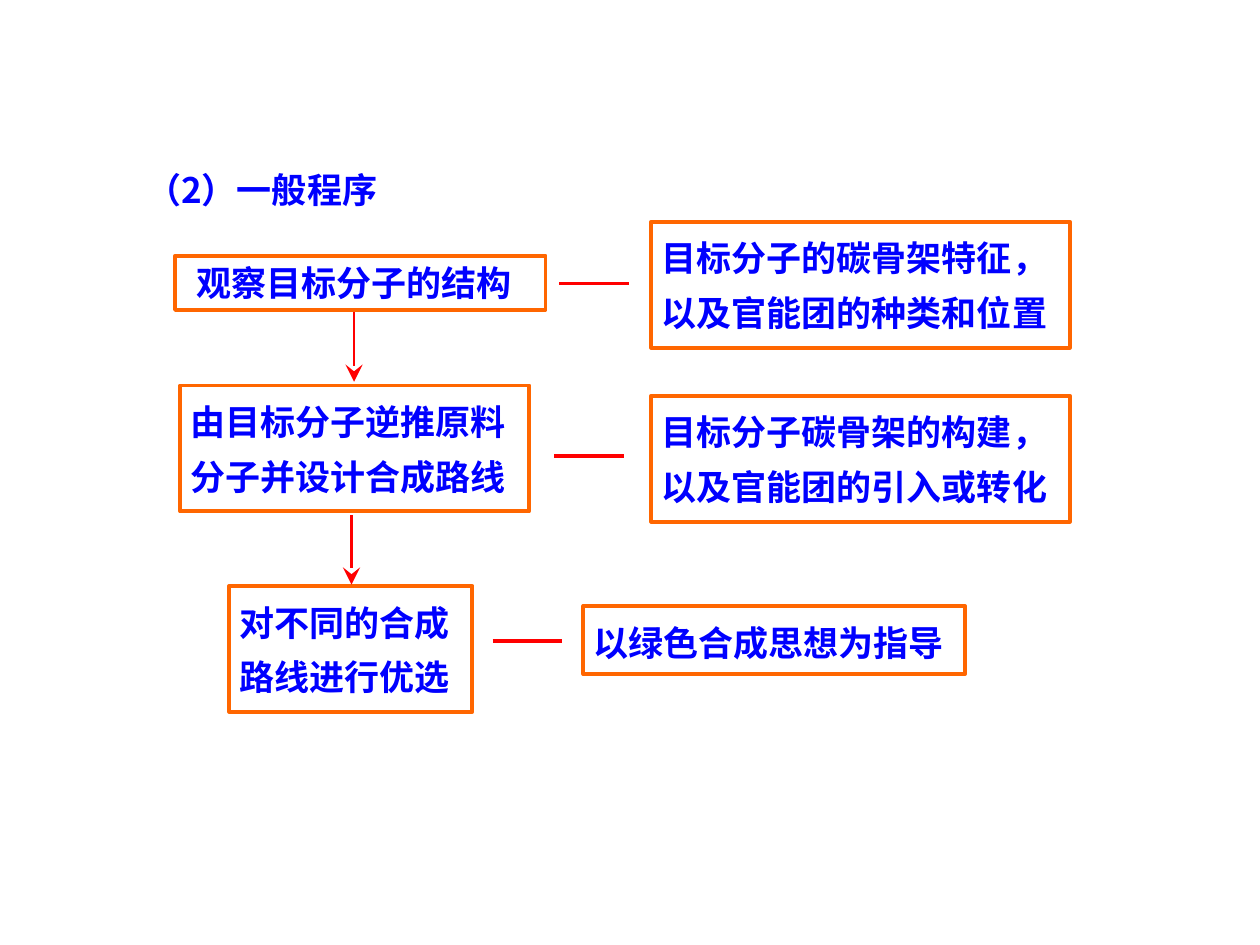
from lxml import etree
from pptx import Presentation
from pptx import util as u
from pptx.dml.color import RGBColor
from pptx.enum import shapes, text
from pptx.oxml.ns import qn

BLUE = RGBColor(0x00, 0x00, 0xFF)
ORANGE = RGBColor(0xFF, 0x66, 0x00)
RED = RGBColor(0xFF, 0x00, 0x00)
FONT = "Noto Sans CJK SC"

HEADING = "（2）一般程序"
TALL, SHORT = 1.0, 0.54
NOTE_LEFT, NOTE_WIDTH = 5.17, 3.32
INSET = (0.08, 0.02)

# lines, (left, top, width, height), (left inset, top inset), line spacing
FIRST_STEP = (["观察目标分子的结构"], (1.39, 2.03, 2.94, 0.43), (0.17, 0.05), 1.0)
STEPS = [
    FIRST_STEP,
    (["由目标分子逆推原料", "分子并设计合成路线"], (1.43, 3.06, 2.77, TALL), INSET, 1.3),
    (["对不同的合成", "路线进行优选"], (1.82, 4.65, 1.93, TALL), INSET, 1.3),
]
NOTES = [
    (["目标分子的碳骨架特征，", "以及官能团的种类和位置"],
     (NOTE_LEFT, 1.76, NOTE_WIDTH, TALL), INSET, 1.3),
    (["目标分子碳骨架的构建，", "以及官能团的引入或转化"],
     (NOTE_LEFT, 3.14, NOTE_WIDTH, TALL), INSET, 1.3),
    (["以绿色合成思想为指导"], (4.63, 4.81, 3.03, SHORT), INSET, 1.3),
]

LINK_LENGTH = 0.55
ARROW_STARTS = [(2.81, 2.48), (2.79, 4.09)]
LINK_STARTS = [(4.44, 2.25), (4.40, 3.62), (3.91, 5.09)]


def write_lines(frame, lines, inset, spacing):
    frame.word_wrap = True
    frame.auto_size = text.MSO_AUTO_SIZE.NONE
    frame.vertical_anchor = text.MSO_ANCHOR.TOP
    frame.margin_left, frame.margin_top = map(u.Inches, inset)
    frame.margin_right = frame.margin_bottom = 0
    for index, line in enumerate(lines):
        paragraph = frame.add_paragraph() if index else frame.paragraphs[0]
        paragraph.alignment = text.PP_ALIGN.LEFT
        paragraph.line_spacing = spacing
        paragraph.space_before = u.Pt(0)
        run = paragraph.add_run()
        run.text = line
        run.font.size = u.Pt(20)
        run.font.bold = True
        run.font.color.rgb = BLUE
        run.font.name = FONT
        # East Asian glyphs take their face from a:ea
        etree.SubElement(run.font._element, qn("a:ea"), typeface=FONT)


def add_box(slide, lines, place, inset, spacing):
    box = slide.shapes.add_shape(shapes.MSO_SHAPE.RECTANGLE, *map(u.Inches, place))
    box.shadow.inherit = False
    box.fill.background()
    box.line.color.rgb = ORANGE
    box.line.width = u.Pt(2.25)
    write_lines(box.text_frame, lines, inset, spacing)


def add_line(slide, start, run, drop, width, arrow=False):
    x, y = start
    line = slide.shapes.add_connector(
        shapes.MSO_CONNECTOR.STRAIGHT,
        *map(u.Inches, (x, y, x + run, y + drop)))
    line.line.color.rgb = RED
    line.line.width = u.Pt(width)
    if arrow:
        etree.SubElement(line.line._get_or_add_ln(), qn("a:tailEnd"), type="stealth",
                         w="lg", len="lg")
    etree.SubElement(line._element.spPr, qn("a:effectLst"))


def main():
    deck = Presentation()
    deck.slide_width, deck.slide_height = u.Inches(10), u.Inches(7.5)
    slide = deck.slides.add_slide(deck.slide_layouts[5])

    heading = slide.shapes.title
    heading.left, heading.top = u.Inches(1.06), u.Inches(1.29)
    heading.width, heading.height = u.Inches(4.26), u.Inches(0.44)
    write_lines(heading.text_frame, [HEADING], (0.1, 0.05), 1.0)

    for box in STEPS + NOTES:
        add_box(slide, *box)
    for start in ARROW_STARTS:
        add_line(slide, start, 0, LINK_LENGTH, 1.5, arrow=True)
    for start in LINK_STARTS:
        add_line(slide, start, LINK_LENGTH, 0, 2.25)

    deck.save("out.pptx")


if __name__ == "__main__":
    main()
